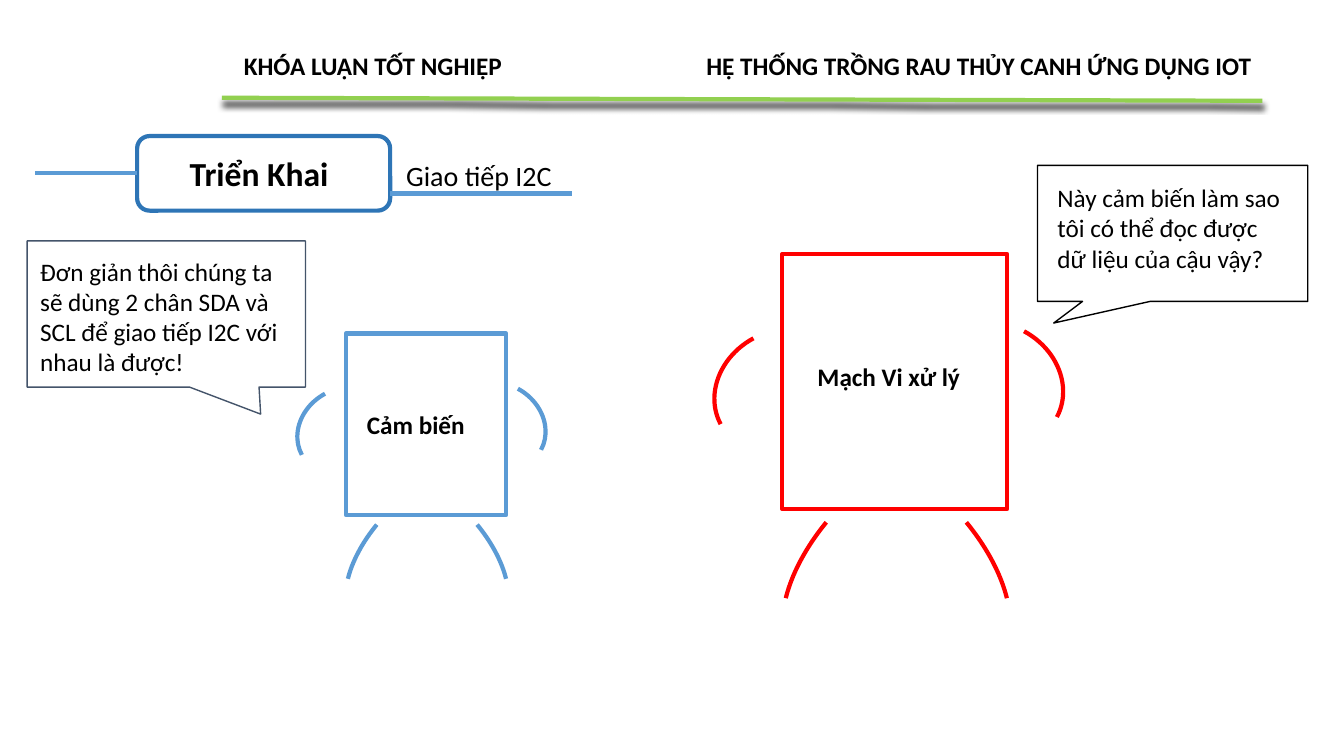
from dataclasses import dataclass

from lxml.etree import SubElement
from pptx import Presentation
from pptx.dml.color import RGBColor
from pptx.enum.shapes import MSO_CONNECTOR, MSO_SHAPE as Preset
from pptx.enum.text import MSO_AUTO_SIZE, PP_ALIGN as Align
from pptx.oxml.ns import qn
from pptx.util import Emu, Pt

PX = 9144  # 100 px to the inch
BLACK, BLUE, DARK_BLUE = "000000", "5B9BD5", "2E75B6"
GREEN, RED, SLATE = "92D050", "FF0000", "44546A"


@dataclass(frozen=True)
class Box:
    left: int
    top: int
    width: int
    height: int

    def emu(self) -> list[Emu]:
        return [Emu(n * PX) for n in (self.left, self.top, self.width, self.height)]


@dataclass(frozen=True)
class Label:
    text: str
    box: Box
    size: int = 18
    bold: bool = False
    align: Align = Align.LEFT


@dataclass(frozen=True)
class Limb:
    box: Box  # relative to the body of an unscaled figure
    angle: float
    mirrored: bool = False
    start: float | None = None


@dataclass(frozen=True)
class Figure:
    left: int
    top: int
    scale: float
    color: str


@dataclass(frozen=True)
class Callout:
    box: Box
    tip: tuple[float, float]
    color: str


BODY = Box(0, 0, 159, 180)
ARM_ANGLE, LEG_ANGLE, LEG_START = 241.7, 219.5, 178.211
LIMBS = [
    Limb(Box(-43, 48, 85, 98), ARM_ANGLE),
    Limb(Box(108, 43, 85, 98), 360 - ARM_ANGLE, True),
    Limb(Box(21, 131, 85, 171), LEG_ANGLE, False, LEG_START),
    Limb(Box(55, 131, 85, 171), 360 - LEG_ANGLE, True, LEG_START),
]
FIGURES = [Figure(343, 331, 1, BLUE), Figure(776, 252, 1.405, RED)]
CALLOUTS = [
    Callout(Box(1029, 164, 268, 135), (-0.44, 0.659), BLACK),
    Callout(Box(27, 239, 276, 145), (0.339, 0.685), SLATE),
]
LABELS = [
    Label("HỆ THỐNG TRỒNG RAU THỦY CANH ỨNG DỤNG IOT",
          Box(663, 45, 588, 41), bold=True, align=Align.RIGHT),
    Label("KHÓA LUẬN TỐT NGHIỆP", Box(232, 45, 386, 40), bold=True),
    Label("Triển Khai", Box(152, 147, 210, 50), 24, True, Align.CENTER),
    Label("Giao tiếp I2C", Box(393, 152, 260, 44), 20),
    Label("Cảm biến", Box(354, 401, 139, 40), bold=True),
    Label("Mạch Vi xử lý", Box(801, 354, 196, 40), bold=True),
    Label("Này cảm biến làm sao tôi có thể đọc được dữ liệu của cậu vậy?",
          Box(1039, 176, 247, 101)),
    Label("Đơn giản thôi chúng ta sẽ dùng 2 chân SDA và SCL để giao tiếp I2C với "
          "nhau là được!", Box(30, 249, 265, 131)),
]


def rgb(color: str) -> RGBColor:
    return RGBColor.from_string(color)


def add_outline(page, preset: Preset, box: Box, color: str, weight: float = 3):
    shape = page.shapes.add_shape(preset, *box.emu())
    shape.shadow.inherit = False
    shape.fill.background()
    shape.line.color.rgb = rgb(color)
    shape.line.width = Pt(weight)
    return shape


def add_line(page, start: tuple[int, int], end: tuple[int, int], color: str):
    line = page.shapes.add_connector(
        MSO_CONNECTOR.STRAIGHT, *(Emu(n * PX) for n in start + end))
    line.line.color.rgb = rgb(color)
    line.line.width = Pt(3)
    SubElement(line.element.spPr, qn("a:effectLst"))
    return line


def add_shadow(line) -> None:
    effects = line.element.spPr.find(qn("a:effectLst"))
    shadow = SubElement(effects, qn("a:outerShdw"), blurRad=str(Pt(4)),
                        dist=str(Pt(4)), dir="5400000", rotWithShape="0")
    tint = SubElement(shadow, qn("a:srgbClr"), val=BLACK)
    SubElement(tint, qn("a:alpha"), val="90000")


def add_figure(page, figure: Figure) -> None:
    def place(box: Box) -> Box:
        return Box(figure.left + round(box.left * figure.scale),
                   figure.top + round(box.top * figure.scale),
                   round(box.width * figure.scale),
                   round(box.height * figure.scale))

    add_outline(page, Preset.RECTANGLE, place(BODY), figure.color)
    for limb in LIMBS:
        arc = add_outline(page, Preset.ARC, place(limb.box), figure.color)
        arc.rotation = limb.angle
        if limb.mirrored:
            arc.element.spPr.xfrm.set("flipH", "1")
        if limb.start is not None:
            arc.adjustments[0] = limb.start


def add_callout(page, callout: Callout) -> None:
    shape = add_outline(page, Preset.RECTANGULAR_CALLOUT, callout.box, callout.color, 1)
    for index, value in enumerate(callout.tip):
        shape.adjustments[index] = value


def add_label(page, label: Label) -> None:
    frame = page.shapes.add_textbox(*label.box.emu()).text_frame
    frame.word_wrap = True
    frame.auto_size = MSO_AUTO_SIZE.SHAPE_TO_FIT_TEXT
    frame.text = label.text
    para = frame.paragraphs[0]
    para.alignment = label.align
    font = para.runs[0].font
    font.name, font.size, font.bold = "Calibri", Pt(label.size), label.bold
    font.color.rgb = rgb(BLACK)


def main() -> None:
    deck = Presentation()
    deck.slide_width, deck.slide_height = Emu(1333 * PX), Emu(750 * PX)
    page = deck.slides.add_slide(deck.slide_layouts[6])

    # Header rule
    add_shadow(add_line(page, (220, 97), (1252, 100), GREEN))

    # Section badge with its lines
    badge = add_outline(page, Preset.ROUNDED_RECTANGLE, Box(136, 135, 251, 74), DARK_BLUE)
    add_line(page, (35, 172), (136, 172), BLUE).end_connect(badge, 1)
    add_line(page, (387, 192), (567, 192), BLUE)

    # Sensor and controller, and what they say
    for figure in FIGURES:
        add_figure(page, figure)
    for callout in CALLOUTS:
        add_callout(page, callout)

    # All wording
    for label in LABELS:
        add_label(page, label)

    deck.save("out.pptx")


if __name__ == "__main__":
    main()
